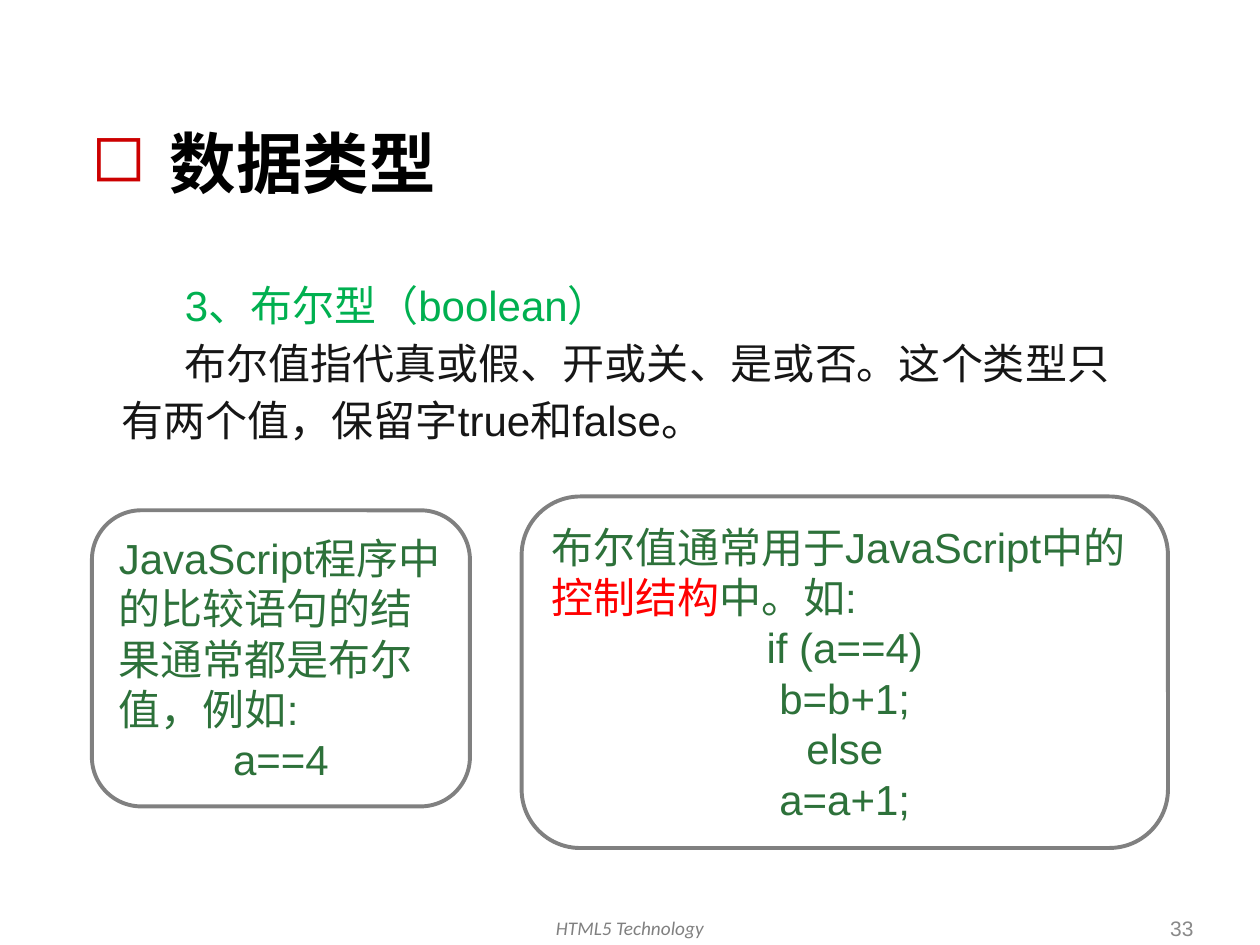
import pptx
import pptx.util
import pptx.dml.color
import pptx.enum.shapes
import pptx.enum.text
import lxml.etree
import pptx.oxml.ns

RGBColor = pptx.dml.color.RGBColor
ALIGN = pptx.enum.text.PP_ALIGN
ANCHOR = pptx.enum.text.MSO_ANCHOR

PX = 9144  # EMU per px, 100 px to the inch
BLACK = RGBColor(0x00, 0x00, 0x00)
INK = RGBColor(0x16, 0x16, 0x16)
GREEN = RGBColor(0x00, 0xB0, 0x50)
FOREST = RGBColor(0x2D, 0x71, 0x3A)
RED = RGBColor(0xFF, 0x00, 0x00)
BULLET_RED = RGBColor(0xCC, 0x00, 0x00)
GRAY = RGBColor(0x80, 0x80, 0x80)
NUMBER_GRAY = RGBColor(0x89, 0x89, 0x89)
LATIN, CJK = "Arial", "Noto Sans CJK SC"


def px(*lengths):
    return [length * PX for length in lengths]


def add_child(parent, tag, **attributes):
    child = lxml.etree.SubElement(parent, pptx.oxml.ns.qn(tag))
    for key, value in attributes.items():
        child.set(key, value)
    return child


def add_run(paragraph, text, size, color, font=LATIN, bold=False, italic=False):
    run = paragraph.add_run()
    run.text = text
    run.font.size = pptx.util.Pt(size)
    run.font.name = font
    run.font.bold = bold
    run.font.italic = italic
    run.font.color.rgb = color
    add_child(run.font._element, "a:ea", typeface=CJK)


def indent(paragraph, margin, first):
    properties = paragraph._p.get_or_add_pPr()
    properties.set("marL", str(margin * PX))
    properties.set("indent", str(first * PX))
    return properties


def add_frame(slide, box, anchor=ANCHOR.TOP):
    frame = slide.shapes.add_textbox(*px(*box)).text_frame
    frame.word_wrap = True
    frame.vertical_anchor = anchor
    return frame


def add_title(slide, box, text):
    heading = add_frame(slide, box, ANCHOR.MIDDLE).paragraphs[0]
    properties = indent(heading, 62, -62)
    bullet_color = add_child(properties, "a:buClr")
    add_child(bullet_color, "a:srgbClr", val=str(BULLET_RED))
    add_child(properties, "a:buChar", char="◻")
    add_run(heading, text, 38, BLACK, bold=True)


def add_explanation(slide, box):
    frame = add_frame(slide, box)
    topic, meaning = frame.paragraphs[0], frame.add_paragraph()
    for paragraph in (topic, meaning):
        indent(paragraph, 0, 50)
        paragraph.line_spacing = pptx.util.Pt(33)
    add_run(topic, "3、布尔型（boolean）", 24, GREEN)
    for text, font in (
        ("布尔值指代真或假、开或关、是或否。这个类型只有两个值，保留字", CJK),
        ("true", LATIN),
        ("和", CJK),
        ("false", LATIN),
        ("。", CJK),
    ):
        add_run(meaning, text, 24, INK, font)


def add_example(slide, box, lead, code_lines):
    """Rounded panel: a lead sentence of (text, color) runs, then centred code."""
    panel = slide.shapes.add_shape(
        pptx.enum.shapes.MSO_SHAPE.ROUNDED_RECTANGLE, *px(*box))
    panel.shadow.inherit = False
    panel.fill.background()
    panel.line.color.rgb = GRAY
    panel.line.width = pptx.util.Pt(2.25)
    frame = panel.text_frame
    frame.word_wrap = True
    frame.vertical_anchor = ANCHOR.MIDDLE
    sentence = frame.paragraphs[0]
    sentence.alignment = ALIGN.LEFT
    for text, color in lead:
        add_run(sentence, text, 24, color)
    for code in code_lines:
        line = frame.add_paragraph()
        line.alignment = ALIGN.CENTER
        add_run(line, code, 24, FOREST)


def add_footer(slide, left, top):
    course = add_frame(slide, (left, top, 356, 33)).paragraphs[0]
    course.alignment = ALIGN.CENTER
    add_run(course, "HTML5 Technology", 11, GRAY, "Calibri", italic=True)
    number = add_frame(slide, (left + 410, top, 225, 29), ANCHOR.MIDDLE).paragraphs[0]
    number.alignment = ALIGN.RIGHT
    add_run(number, "33", 12, NUMBER_GRAY)


def main():
    deck = pptx.Presentation()
    deck.slide_width, deck.slide_height = px(1000, 750)
    slide = deck.slides.add_slide(deck.slide_layouts[6])

    add_title(slide, (63, 92, 875, 73), "数据类型")
    add_footer(slide, 322, 722)
    add_explanation(slide, (87, 211, 827, 145))

    # Comparison result, then use in control structures
    add_example(
        slide, (73, 405, 300, 235),
        [("JavaScript程序中的比较语句的结果通常都是布尔值，例如:", FOREST)],
        ["a==4"])
    add_example(
        slide, (414, 394, 513, 279),
        [("布尔值通常用于JavaScript中的", FOREST), ("控制结构", RED), ("中。如:", FOREST)],
        ["if (a==4)", "b=b+1;", "else", "a=a+1;"])

    deck.save("out.pptx")


if __name__ == "__main__":
    main()
